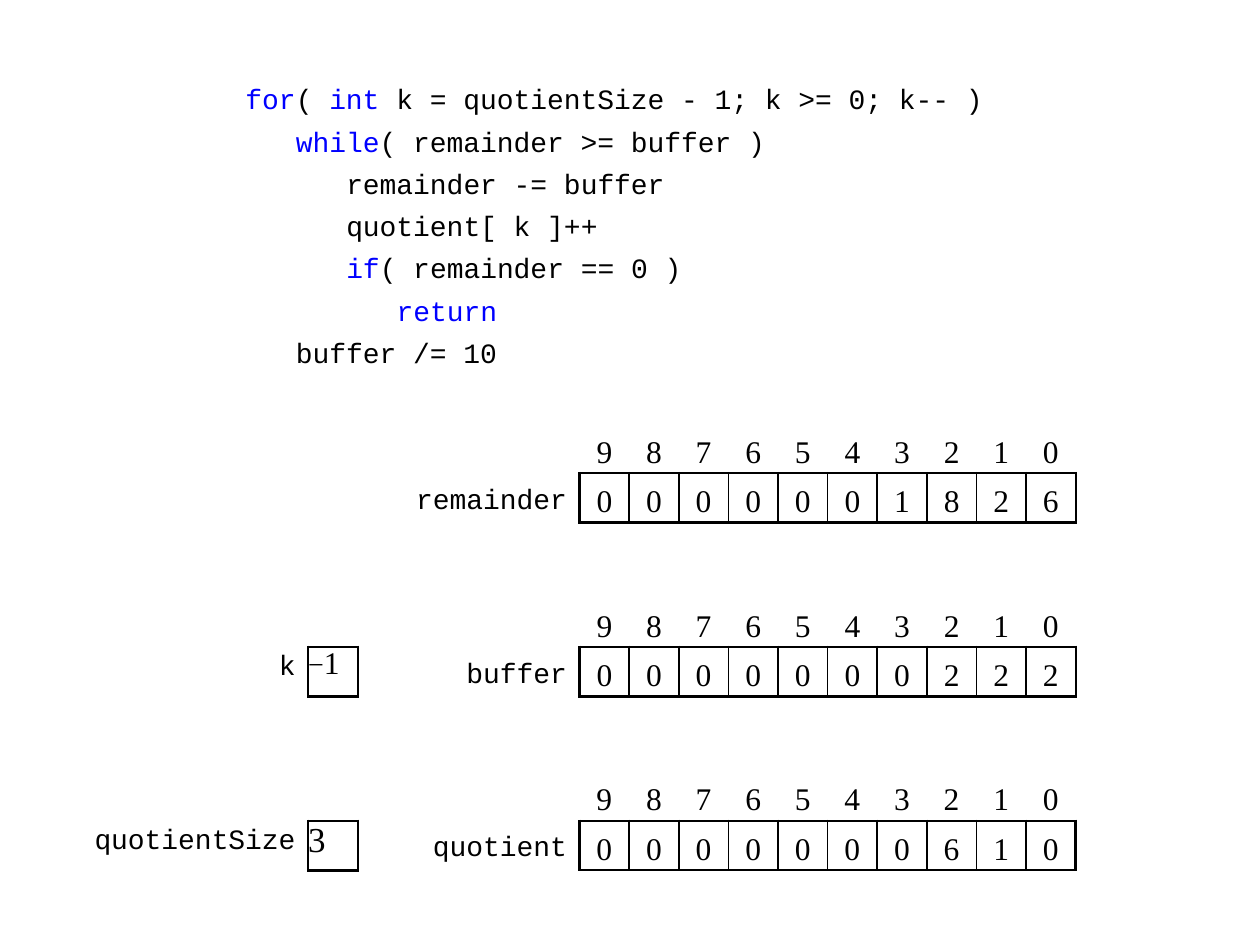
import dataclasses
import lxml.etree
import pptx
import pptx.dml.color
import pptx.enum.text
import pptx.oxml.ns
import pptx.util

Inches = pptx.util.Inches
Align = pptx.enum.text.PP_ALIGN
Anchor = pptx.enum.text.MSO_ANCHOR


@dataclasses.dataclass(frozen=True)
class Theme:
    """Colours, fonts, sizes and line widths of the slide."""
    ink: str = "000000"
    keyword: str = "0000FF"
    code_font: str = "Courier New"
    digit_font: str = "Times New Roman"
    code_size: int = 16
    digit_size: int = 18
    count_size: int = 20
    frame: float = 1.5
    divider: float = 1


THEME = Theme()
UNIT = 3.94 / 10
DIGITS_LEFT = 4.6
VARIABLES_RIGHT = 2.84
KEYWORDS = {"for", "int", "while", "if", "return"}
CODE = [
    (0, ["for", "( ", "int", " k = quotientSize - 1; k >= 0; k-- )"]),
    (1, ["while", "( remainder >= buffer )"]),
    (2, ["remainder -= buffer"]),
    (2, ["quotient[ k ]++"]),
    (2, ["if", "( remainder == 0 )"]),
    (3, ["return"]),
    (1, ["buffer /= 10"]),
]
REGISTERS = [
    ("remainder", "0000001826", 4),
    ("buffer", "0000000222", 3),
    ("quotient", "0000000610", 3.5),
]
REGISTERS_TOP = 3.36
REGISTER_STEP = 1.38


def add_run(paragraph, text, font, size, color=THEME.ink):
    """Append a formatted run to a paragraph."""
    run = paragraph.add_run()
    run.text = text
    run.font.name = font
    run.font.size = pptx.util.Pt(size)
    run.font.color.rgb = pptx.dml.color.RGBColor.from_string(color)


def set_borders(cell, **widths):
    """Draw the named cell sides in the given widths and clear the others."""
    properties = cell._tc.get_or_add_tcPr()
    qn = pptx.oxml.ns.qn
    for position, side in enumerate("LRTB"):
        width = widths.get(side, 0)
        line = lxml.etree.Element(qn(f"a:ln{side}"), w=str(int(pptx.util.Pt(width))))
        if width:
            fill = lxml.etree.SubElement(line, qn("a:solidFill"))
            lxml.etree.SubElement(fill, qn("a:srgbClr"), val=THEME.ink)
        else:
            lxml.etree.SubElement(line, qn("a:noFill"))
        properties.insert(position, line)


def add_plain_table(slide, left, top, widths, rows):
    """Add an unstyled table with empty, margin-free cells."""
    table = slide.shapes.add_table(
        rows, len(widths), Inches(left), Inches(top),
        Inches(sum(widths)), Inches(rows * UNIT)).table
    table.first_row = table.horz_banding = False
    style = table._tbl.tblPr.find(pptx.oxml.ns.qn("a:tableStyleId"))
    style.text = "{2D5ABB26-0587-4C30-8999-92F81FD0307C}"
    for column, width in zip(table.columns, widths):
        column.width = Inches(width)
    for row in table.rows:
        row.height = Inches(UNIT)
    for cell in table.iter_cells():
        cell.fill.background()
        cell.margin_left = cell.margin_right = 0
        cell.margin_top = cell.margin_bottom = 0
    return table


def fill_register_cell(cell, text, font, size, alignment):
    """Put one vertically centred entry in a register cell."""
    cell.vertical_anchor = Anchor.MIDDLE
    paragraph = cell.text_frame.paragraphs[0]
    paragraph.alignment = alignment
    paragraph.line_spacing = 1.25
    add_run(paragraph, text, font, size)


def add_code(slide, left, top, width, height):
    """Add the pseudocode listing with coloured keywords."""
    frame = slide.shapes.add_textbox(
        Inches(left), Inches(top), Inches(width), Inches(height)).text_frame
    frame.word_wrap = True
    for number, (level, tokens) in enumerate(CODE):
        line = frame.add_paragraph() if number else frame.paragraphs[0]
        line.space_before = pptx.util.Pt(5)
        line._p.get_or_add_pPr().set("marL", str(int(Inches(0.4 * level))))
        for token in tokens:
            color = THEME.keyword if token in KEYWORDS else THEME.ink
            add_run(line, token, THEME.code_font, THEME.code_size, color)


def add_register(slide, left, top, name, digits, name_units):
    """Add a named row of digits under its place numbers."""
    name_width = name_units * UNIT
    table = add_plain_table(
        slide, left - name_width, top, [name_width] + [UNIT] * len(digits), 2)
    set_borders(table.cell(0, 0))
    label = table.cell(1, 0)
    label.margin_left = label.margin_right = Inches(0.1)
    fill_register_cell(label, name, THEME.code_font, THEME.code_size, Align.RIGHT)
    set_borders(label, R=THEME.frame)
    last = len(digits)
    for column, digit in enumerate(digits, 1):
        place, value = table.cell(0, column), table.cell(1, column)
        for cell, text in ((place, str(last - column)), (value, digit)):
            fill_register_cell(
                cell, text, THEME.digit_font, THEME.digit_size, Align.CENTER)
        set_borders(place, B=THEME.frame)
        set_borders(
            value, T=THEME.frame, B=THEME.frame,
            L=THEME.frame if column == 1 else THEME.divider,
            R=THEME.frame if column == last else THEME.divider)


def add_variable(slide, right, top, name, name_units, parts):
    """Add a named single-value box ending at the given right edge."""
    widths = [name_units * UNIT, UNIT]
    table = add_plain_table(slide, right - sum(widths), top, widths, 1)
    label, value = table.cell(0, 0), table.cell(0, 1)
    label.margin_right = Inches(0.1)
    label.margin_top = label.margin_bottom = Inches(0.04)
    label_line = label.text_frame.paragraphs[0]
    label_line.alignment = Align.RIGHT
    add_run(label_line, name, THEME.code_font, THEME.code_size)
    set_borders(label, R=THEME.frame)
    for text, size in parts:
        add_run(value.text_frame.paragraphs[0], text, THEME.digit_font, size)
    set_borders(value, **dict.fromkeys("LRTB", THEME.frame))


def build():
    """Build and save the long-division slide."""
    deck = pptx.Presentation()
    deck.slide_width, deck.slide_height = Inches(10), Inches(7.5)
    slide = deck.slides.add_slide(deck.slide_layouts[6])
    add_code(slide, 1.85, 0.6, 6.3, 2.36)
    tops = [REGISTERS_TOP + REGISTER_STEP * row for row in range(len(REGISTERS))]
    for top, register in zip(tops, REGISTERS):
        add_register(slide, DIGITS_LEFT, top, *register)
    add_variable(slide, VARIABLES_RIGHT, tops[1] + UNIT, "k", 1,
                 [("\u2212", THEME.code_size), ("1", THEME.digit_size)])
    add_variable(slide, VARIABLES_RIGHT, tops[2] + UNIT, "quotientSize", 4.5,
                 [("3", THEME.count_size)])
    deck.save("out.pptx")


build()
